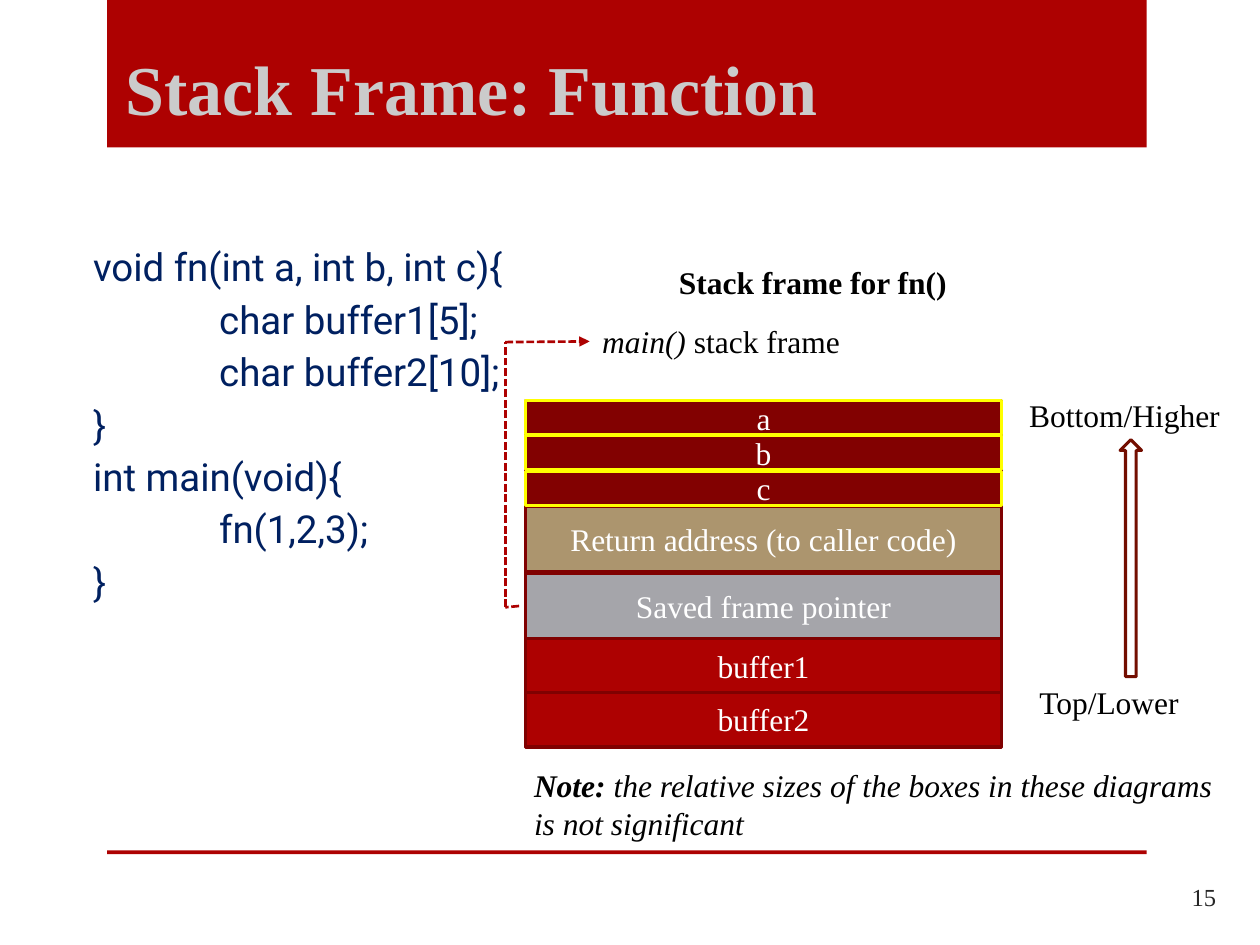
"""Build the slide on the stack frame of a function call."""
from lxml import etree
from pptx import Presentation
from pptx.dml.color import RGBColor
from pptx.enum.dml import MSO_LINE
from pptx.enum.shapes import MSO_CONNECTOR, MSO_SHAPE
from pptx.enum.text import MSO_ANCHOR, PP_ALIGN
from pptx.oxml.ns import qn
from pptx.util import Inches, Pt

RECTANGLE, UP_ARROW = MSO_SHAPE.RECTANGLE, MSO_SHAPE.UP_ARROW
STRAIGHT, DASH = MSO_CONNECTOR.STRAIGHT, MSO_LINE.SQUARE_DOT
TOP, MIDDLE, BOTTOM = MSO_ANCHOR.TOP, MSO_ANCHOR.MIDDLE, MSO_ANCHOR.BOTTOM
LEFT, CENTER, RIGHT = PP_ALIGN.LEFT, PP_ALIGN.CENTER, PP_ALIGN.RIGHT

RED = RGBColor(0xAD, 0x01, 0x01)
MAROON = RGBColor(0x82, 0x01, 0x01)
BORDER = RGBColor(0x80, 0x01, 0x01)
YELLOW = RGBColor(0xFF, 0xFF, 0x00)
TAN = RGBColor(0xAC, 0x95, 0x6E)
GRAY = RGBColor(0xA5, 0xA5, 0xAA)
CORAL = RGBColor(0xFF, 0x74, 0x61)
RUST = RGBColor(0x73, 0x0E, 0x00)
SILVER = RGBColor(0xCB, 0xCB, 0xCB)
CHARCOAL = RGBColor(0x26, 0x26, 0x26)
NAVY = RGBColor(0x00, 0x20, 0x60)
BLACK = RGBColor(0x00, 0x00, 0x00)
WHITE = RGBColor(0xFF, 0xFF, 0xFF)

deck = Presentation()
deck.slide_width, deck.slide_height = Inches(10), Inches(7.5)
COL, ROW = deck.slide_width / 100, deck.slide_height / 100
slide = deck.slides.add_slide(deck.slide_layouts[6])
shapes = slide.shapes


def add_block(kind, left, top, width, height, fill, line=None):
    block = shapes.add_shape(kind, round(left * COL), round(top * ROW),
                             round(width * COL), round(height * ROW))
    block.shadow.inherit = False
    block.fill.solid()
    block.fill.fore_color.rgb = fill
    if line is None:
        block.line.fill.background()
    else:
        block.line.color.rgb = line
        block.line.width = Pt(1.75)
    return block


def write(frame, paragraphs, size=18, color=BLACK, font="Times New Roman",
          align=LEFT, anchor=TOP, wrap=False):
    frame.word_wrap = wrap
    frame.vertical_anchor = anchor
    for index, runs in enumerate(paragraphs):
        paragraph = frame.add_paragraph() if index else frame.paragraphs[0]
        paragraph.alignment = align
        for text, emphasis in runs:
            run = paragraph.add_run()
            run.text = text
            run.font.color.rgb = color
            looks = {"size": Pt(size), "name": font, **emphasis}
            for attribute, value in looks.items():
                setattr(run.font, attribute, value)


BOLD, ITALIC = {"bold": True}, {"italic": True}

add_block(RECTANGLE, 8.5, 0, 82.5, 15.6, RED)
add_block(RECTANGLE, 8.5, 90, 82.5, 0.4, RED)

code_lines = [
    "void fn(int a, int b, int c){",
    "\tchar buffer1[5];",
    "\tchar buffer2[10];",
    "}",
    "int main(void){",
    "\tfn(1,2,3);",
    "}",
]
labels = [
    ((9, 0, 74.2, 14.4), [[("Stack Frame: Function", BOLD)]],
     {"size": 40, "color": SILVER, "anchor": BOTTOM, "wrap": True}),
    ((89.2, 92.27, 8.3, 5.33), [[("15", {})]],
     {"size": 14, "color": CHARCOAL, "align": RIGHT, "anchor": MIDDLE, "wrap": True}),
    ((81.5, 71.6, 13.2, 5.33), [[("Top/Lower", {})]], {}),
    ((80.7, 41.2, 17.3, 5.33), [[("Bottom/Higher", {})]], {}),
    ((46.8, 33.47, 21.1, 5.33), [[("main() ", ITALIC), ("stack frame", {})]], {}),
    ((41.4, 80.4, 56.4, 9.47),
     [[("Note: ", BOLD | ITALIC),
       ("the relative sizes of the boxes in these diagrams", ITALIC)],
      [("is not significant", ITALIC)]], {}),
    ((52.9, 27.2, 30.1, 5.33), [[("Stack frame for fn()", BOLD)]], {"wrap": True}),
]
for (left, top, width, height), paragraphs, style in labels:
    label = shapes.add_textbox(round(left * COL), round(top * ROW),
                               round(width * COL), round(height * ROW))
    write(label.text_frame, paragraphs, **style)

code = shapes.add_textbox(round(5.8 * COL), round(25.07 * ROW),
                          round(50 * COL), round(39 * ROW)).text_frame
code.margin_left = round(1.6 * COL)
write(code, [[(line, {})] for line in code_lines],
      size=22, color=NAVY, font="Roboto", wrap=True)
for index, paragraph in enumerate(code.paragraphs):
    stops = etree.SubElement(paragraph._p.get_or_add_pPr(), qn("a:tabLst"))
    etree.SubElement(stops, qn("a:tab"), pos=str(round(10 * COL)), algn="l")
    if index:
        paragraph.space_before = Pt(3.6)

STACK_LEFT, STACK_TOP, STACK_WIDTH = 41.7, 42.4, 37.8
add_block(RECTANGLE, STACK_LEFT, STACK_TOP, STACK_WIDTH, 36.67, CORAL, BORDER)
cells = [
    ("a", 3.6, 0.13, MAROON, YELLOW),
    ("b", 3.6, 0.13, MAROON, YELLOW),
    ("c", 3.6, 0.13, MAROON, YELLOW),
    ("Return address (to caller code)", 6.93, 0.13, TAN, BORDER),
    ("Saved frame pointer", 6.93, 0, GRAY, BORDER),
    ("buffer1", 5.7, 0, RED, BORDER),
    ("buffer2", 5.7, 0, RED, BORDER),
]
cell_bottom = STACK_TOP + sum(height + gap for _, height, gap, _, _ in cells)
for content, height, gap, fill, line in reversed(cells):
    cell_top = cell_bottom - height - gap
    cell = add_block(RECTANGLE, STACK_LEFT, cell_top, STACK_WIDTH, height, fill, line)
    write(cell.text_frame, [[(content, {})]], color=WHITE,
          align=CENTER, anchor=MIDDLE, wrap=True)
    cell_bottom = cell_top

add_block(UP_ARROW, 88.9, 46.53, 1.7, 25.07, WHITE, RUST)

pointer_path = [(41.2, 64.13), (40.1, 64.27), (40.1, 36.2), (46.8, 36.13)]
for (x1, y1), (x2, y2) in zip(pointer_path, pointer_path[1:]):
    pointer = shapes.add_connector(STRAIGHT, round(x1 * COL), round(y1 * ROW),
                                   round(x2 * COL), round(y2 * ROW))
    pointer.line.color.rgb = RED
    pointer.line.width = Pt(1.5)
    pointer.line.dash_style = DASH
    etree.SubElement(pointer._element.spPr, qn("a:effectLst"))
etree.SubElement(pointer.line._get_or_add_ln(), qn("a:tailEnd"), type="triangle")

deck.save("out.pptx")
